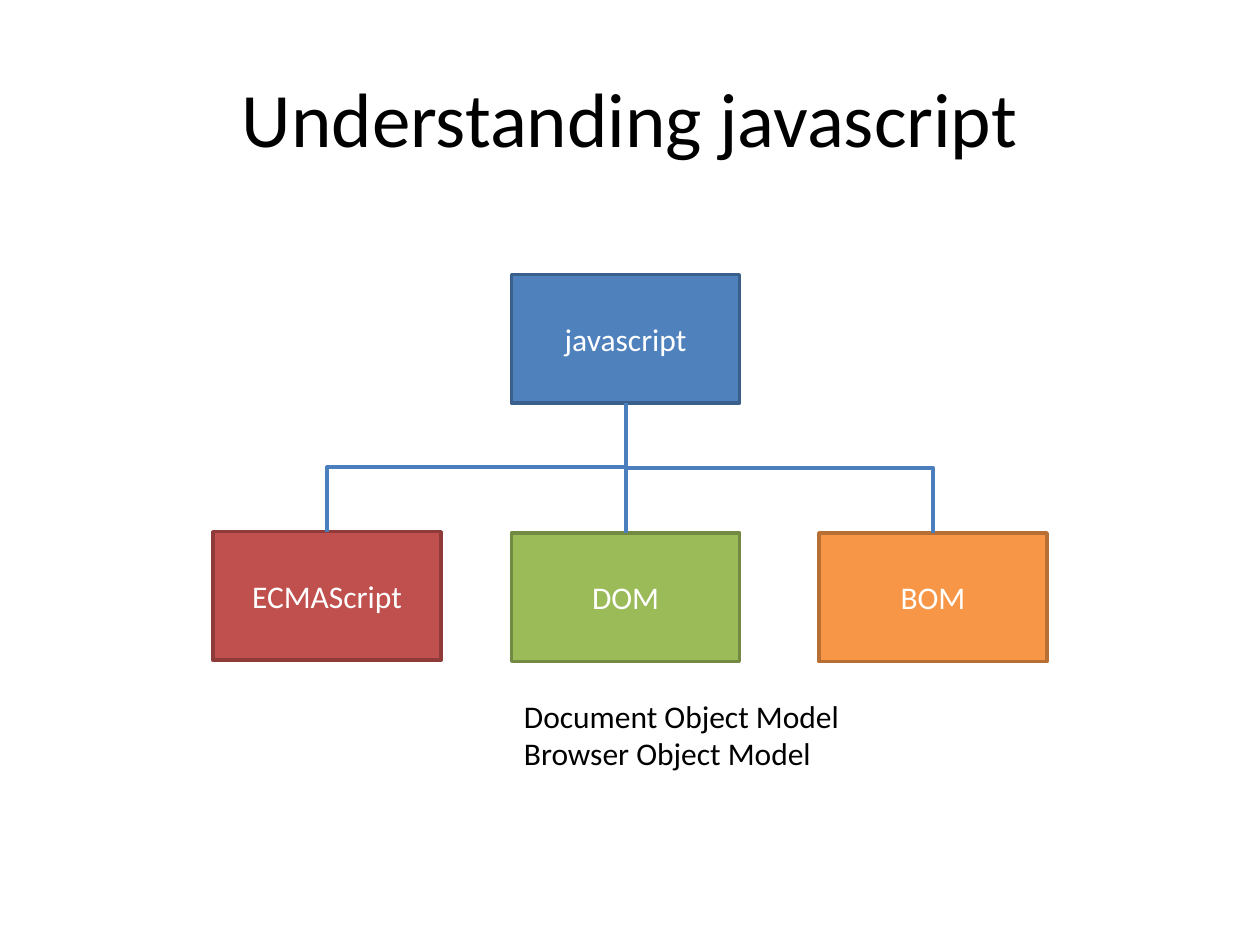
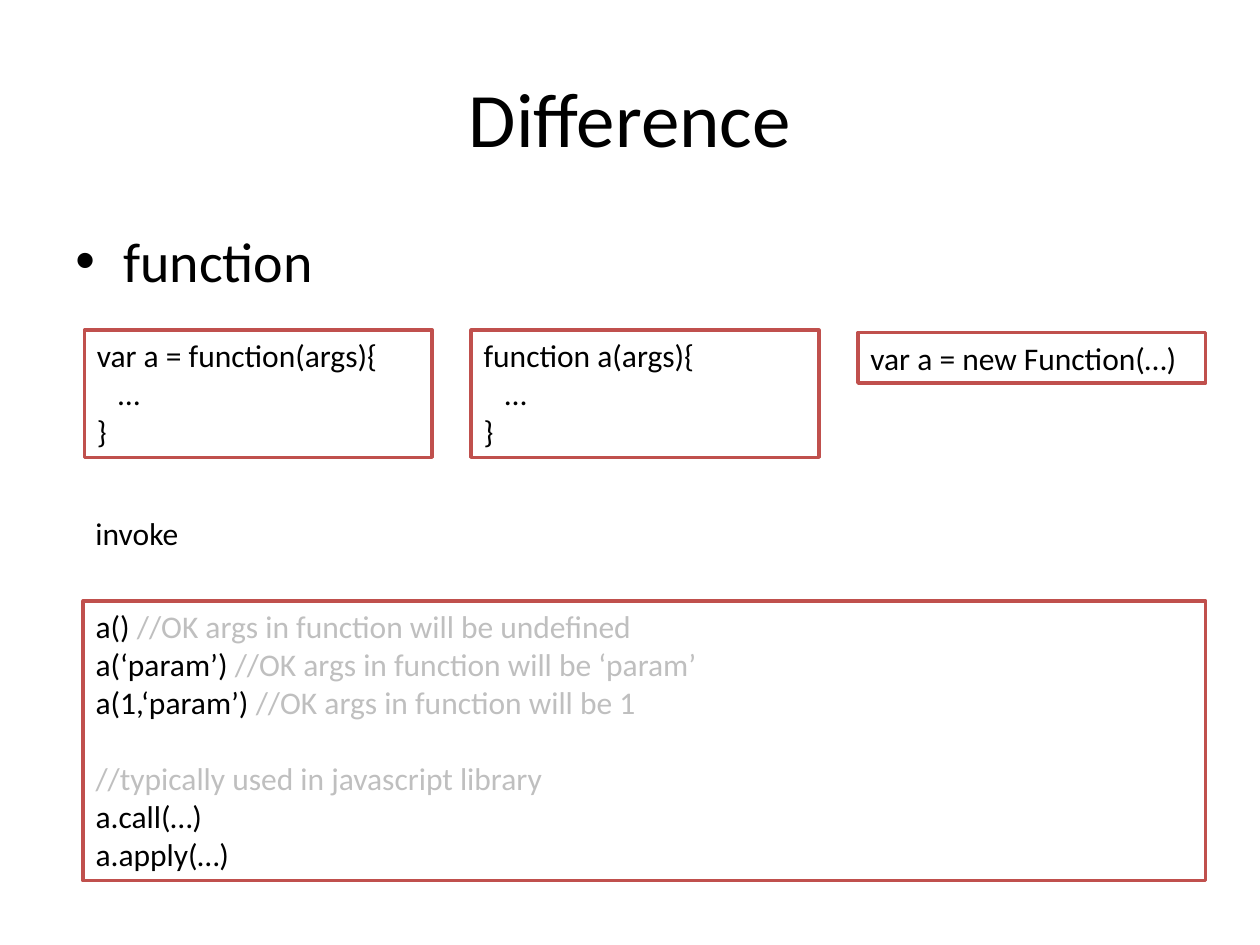
from collections import namedtuple
from dataclasses import dataclass

from lxml.etree import SubElement
from pptx import Presentation
from pptx.dml.color import RGBColor
from pptx.enum.shapes import MSO_CONNECTOR as Link, MSO_SHAPE as Preset
from pptx.enum.text import MSO_ANCHOR as Anchor, PP_ALIGN as Align
from pptx.oxml.ns import qn
from pptx.util import Inches, Pt

Box = namedtuple("Box", "left top width height")
Node = namedtuple("Node", "label x y fill line")


@dataclass(frozen=True)
class Theme:
    """Colours, type sizes and line widths shared by the slides."""
    font: str = "Calibri"
    ink: str = "000000"
    paper: str = "FFFFFF"
    comment: str = "BFBFBF"
    link: str = "4B7EBC"
    blue: str = "4F81BD"
    blue_edge: str = "3A5F8C"
    red: str = "C0504D"
    red_edge: str = "8E3B39"
    green: str = "9BBB59"
    green_edge: str = "738A42"
    orange: str = "F79646"
    orange_edge: str = "B76F34"
    title_size: int = 44
    bullet_size: int = 32
    text_size: int = 18
    edge_width: float = 2
    link_width: float = 2.25


THEME = Theme()
TITLE_BOX = Box(0.5, 0.3, 9, 1.25)


def rgb(value):
    """Turn a hex string into a colour."""
    return RGBColor.from_string(value)


def inches(box):
    """Convert the four numbers of a box to lengths."""
    return [Inches(number) for number in box]


def write_text(shape, lines, size=THEME.text_size, color=THEME.ink, align=Align.LEFT,
               anchor=Anchor.TOP, wrap=True, gaps=None):
    """Fill a shape with lines, greying whatever follows a comment mark."""
    frame = shape.text_frame
    frame.word_wrap = wrap
    frame.vertical_anchor = anchor
    for index, line in enumerate(lines):
        para = frame.add_paragraph() if index else frame.paragraphs[0]
        para.alignment = align
        if gaps and index in gaps:
            para.space_before = Pt(gaps[index])
        code, mark, comment = line.partition("//")
        for text, ink in ((code, color), (mark + comment, THEME.comment)):
            if text:
                span = para.add_run()
                span.text = text
                span.font.name = THEME.font
                span.font.size = Pt(size)
                span.font.color.rgb = rgb(ink)


def add_page(deck, title):
    """Add a title-only slide and format its title."""
    page = deck.slides.add_slide(deck.slide_layouts[5])
    heading = page.shapes.title
    heading.left, heading.top, heading.width, heading.height = inches(TITLE_BOX)
    write_text(heading, [title], size=THEME.title_size, align=Align.CENTER,
               anchor=Anchor.MIDDLE)
    return page


def add_label(page, box, lines, **style):
    """Add a plain text box."""
    label = page.shapes.add_textbox(*inches(box))
    write_text(label, lines, **style)
    return label


def add_panel(page, box, lines, fill=THEME.paper, line=THEME.red, **style):
    """Add an outlined rectangle with text."""
    panel = page.shapes.add_shape(Preset.RECTANGLE, *inches(box))
    panel.shadow.inherit = False
    panel.fill.solid()
    panel.fill.fore_color.rgb = rgb(fill)
    panel.line.color.rgb = rgb(line)
    panel.line.width = Pt(THEME.edge_width)
    write_text(panel, lines, **style)
    return panel


def add_link(page, kind, x1, y1, x2, y2):
    """Add a connector in the shared link style."""
    link = page.shapes.add_connector(kind, x1, y1, x2, y2)
    link.line.color.rgb = rgb(THEME.link)
    link.line.width = Pt(THEME.link_width)
    SubElement(link._element.spPr, qn("a:effectLst"))
    return link


def join(page, parent, child):
    """Link the bottom of a parent to the top of a child."""
    x1, y1 = parent.left + parent.width // 2, parent.top + parent.height
    x2, y2 = child.left + child.width // 2, child.top
    if x1 == x2:
        link = add_link(page, Link.STRAIGHT, x1, y1, x2, y2)
        link.begin_connect(parent, 2)
        link.end_connect(child, 0)
        return
    mid_x, mid_y = (x1 + x2) // 2, (y1 + y2) // 2
    half_drop, half_span = (y2 - y1) // 2, abs(x2 - x1) // 2
    side = 1 if x2 > x1 else -1
    link = add_link(page, Link.ELBOW, mid_x + side * half_drop, mid_y - half_span,
                    mid_x - side * half_drop, mid_y + half_span)
    turn = 270 if side > 0 else 90
    link._element.spPr.find(qn("a:xfrm")).set("rot", str(turn * 60000))


def add_tree(page, box):
    """Draw the language, its three parts and the note on their names."""
    root = Node("javascript", 2.37, 0, THEME.blue, THEME.blue_edge)
    parts = [
        Node("ECMAScript", 0, 2.04, THEME.red, THEME.red_edge),
        Node("DOM", 2.37, 2.05, THEME.green, THEME.green_edge),
        Node("BOM", 4.81, 2.05, THEME.orange, THEME.orange_edge),
    ]
    parent, *children = [
        add_panel(page, Box(box.left + node.x, box.top + node.y, 1.81, 1.02),
                  [node.label], fill=node.fill, line=node.line, color=THEME.paper,
                  align=Align.CENTER, anchor=Anchor.MIDDLE)
        for node in [root, *parts]
    ]
    for child in children:
        join(page, parent, child)
    add_label(page, Box(box.left + root.x, box.top + 3.3, 2.91, 0.71),
              ["Document Object Model", "Browser Object Model"])


def add_bullet(page, box, text):
    """Add a large bulleted line."""
    label = add_label(page, box, [text], size=THEME.bullet_size)
    properties = label.text_frame.paragraphs[0]._p.get_or_add_pPr()
    properties.set("marL", str(Inches(0.38)))
    properties.set("indent", str(-Inches(0.38)))
    SubElement(properties, qn("a:buFont"), typeface="Arial")
    SubElement(properties, qn("a:buChar"), char="•")


def add_definitions(page, box):
    """Place the three ways to define a function side by side."""
    width, gap = 2.76, 0.31
    definitions = [
        (["var a = function(args){", "   …", "}"], 0, box.height),
        (["function a(args){", "   …", "}"], 0, box.height),
        (["var a = new Function(…)"], 0.02, 0.4),
    ]
    for column, (lines, drop, height) in enumerate(definitions):
        left = box.left + column * (width + gap)
        add_panel(page, Box(left, box.top + drop, width, height), lines)


def add_calls(page, box):
    """Place the heading and the panel of sample calls."""
    add_label(page, Box(box.left, box.top, 0.87, 0.4), ["invoke"], wrap=False)
    calls = [
        "a() //OK args in function will be undefined",
        "a(‘param’) //OK args in function will be ‘param’",
        "a(1,‘param’) //OK args in function will be 1",
        "//typically used in javascript library",
        "a.call(…)",
        "a.apply(…)",
    ]
    add_panel(page, Box(box.left, box.top + 0.74, box.width, box.height - 0.74),
              calls, gaps={3: 22})


def main():
    """Build and save the deck."""
    deck = Presentation()
    deck.slide_width, deck.slide_height = Inches(10), Inches(7.5)

    overview = add_page(deck, "Understanding javascript")
    add_tree(overview, Box(1.69, 2.18, 6.62, 4.01))

    difference = add_page(deck, "Difference")
    add_bullet(difference, Box(0.5, 1.75, 9, 0.66), "function")
    add_definitions(difference, Box(0.67, 2.62, 8.9, 1.01))
    add_calls(difference, Box(0.66, 4.03, 8.91, 2.96))

    deck.save("out.pptx")


if __name__ == "__main__":
    main()
